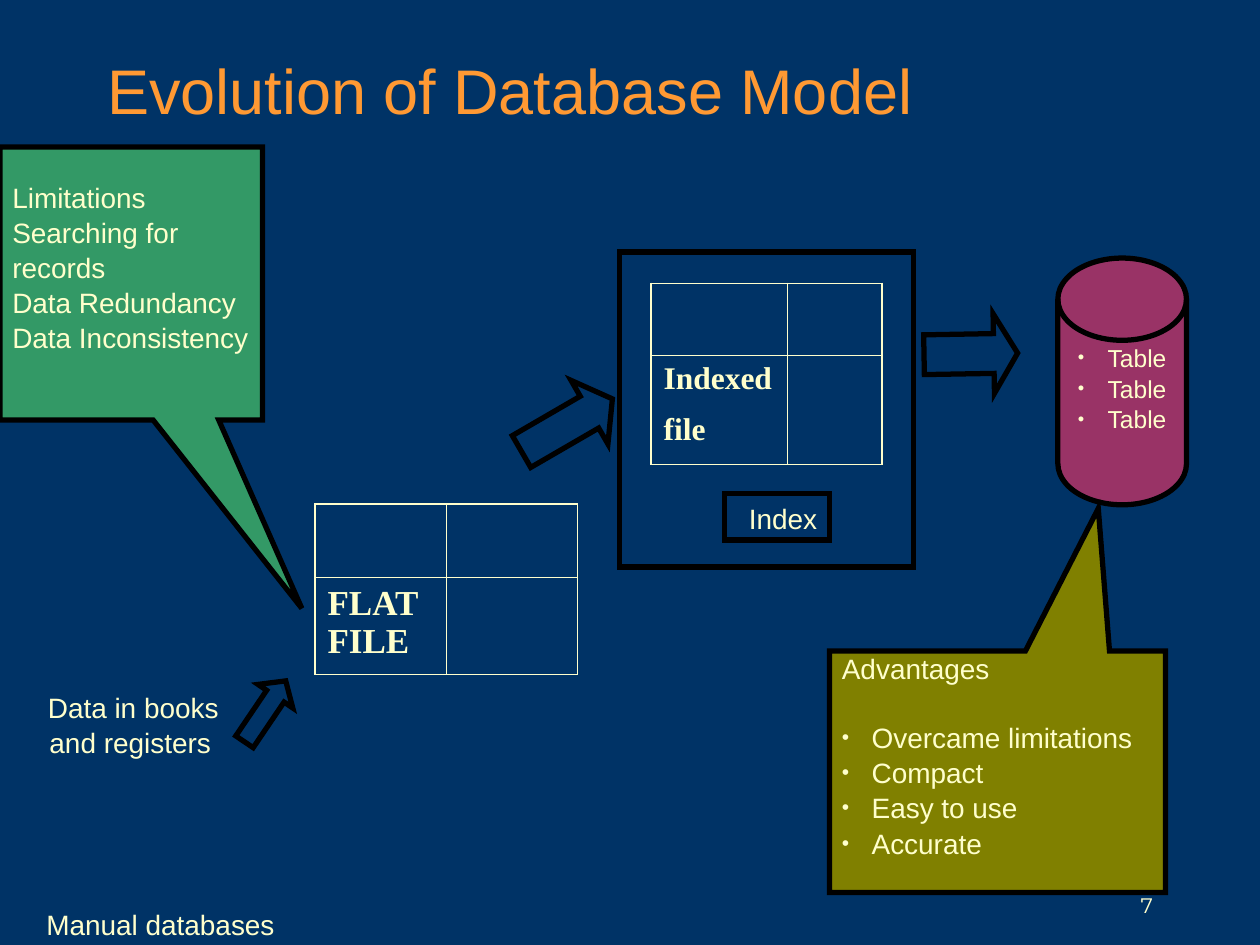
import pptx
import pptx.dml.color
import pptx.enum.shapes
import pptx.enum.text
import pptx.oxml.ns
import pptx.util
from lxml import etree

Pt = pptx.util.Pt
qn = pptx.oxml.ns.qn
Shape = pptx.enum.shapes.MSO_SHAPE
Align = pptx.enum.text.PP_ALIGN
Anchor = pptx.enum.text.MSO_ANCHOR

NAVY, CREAM, ORANGE, BLACK = "003366", "FFFFCC", "FF9933", "000000"
GREEN, PLUM, OLIVE = "339966", "993366", "808000"


def rgb(value):
    return pptx.dml.color.RGBColor.from_string(value)


class SlideBuilder:
    """Holds the style and the current slide; all lengths are points."""

    font = "Arial"
    size = 16
    line_spacing = 1.05
    line_width = 3
    outer_border, inner_border = 1.08, 0.45

    def __init__(self, presentation):
        self.slide = presentation.slides.add_slide(presentation.slide_layouts[5])
        self.slide.background.fill.solid()
        self.slide.background.fill.fore_color.rgb = rgb(NAVY)

    def format_runs(self, paragraph, size, font=None, color=CREAM, bold=False):
        for run in paragraph.runs:
            run.font.size = Pt(size)
            run.font.name = font or self.font
            run.font.color.rgb = rgb(color)
            run.font.bold = bold

    def title(self, text, left, top, width, height):
        shape = self.slide.shapes.title
        shape.left, shape.top, shape.width, shape.height = map(Pt, (left, top, width, height))
        frame = shape.text_frame
        frame.text = text
        frame.auto_size = pptx.enum.text.MSO_AUTO_SIZE.NONE
        frame.vertical_anchor = Anchor.MIDDLE
        frame.paragraphs[0].alignment = Align.LEFT
        self.format_runs(frame.paragraphs[0], 36, color=ORANGE)

    def bullet(self, paragraph):
        properties = paragraph._p.get_or_add_pPr()
        properties.set("marL", str(Pt(17)))
        properties.set("indent", str(-Pt(17)))
        color = etree.SubElement(properties, qn("a:buClr"))
        etree.SubElement(color, qn("a:srgbClr"), val=CREAM)
        etree.SubElement(properties, qn("a:buSzPct"), val="75000")
        etree.SubElement(properties, qn("a:buFont"), typeface=self.font)
        etree.SubElement(properties, qn("a:buChar"), char="•")

    def fill_text(self, shape, lines, size=None, font=None, align=Align.LEFT,
                  anchor=Anchor.TOP, wrap=True, bullets_from=None, bottom=3.6):
        """Fill a shape with paragraphs, bulleted from the given index on."""
        frame = shape.text_frame
        frame.text = "\n".join(lines)
        frame.word_wrap = wrap
        frame.vertical_anchor = anchor
        frame.margin_bottom = Pt(bottom)
        for index, paragraph in enumerate(frame.paragraphs):
            if bullets_from is not None and index >= bullets_from:
                self.bullet(paragraph)
            paragraph.alignment = align
            paragraph.line_spacing = self.line_spacing
            self.format_runs(paragraph, size or self.size, font)
        return frame

    def text(self, lines, left, top, width, height, **style):
        box = self.slide.shapes.add_textbox(*map(Pt, (left, top, width, height)))
        return self.fill_text(box, lines, **style)

    def shape(self, kind, left, top, width, height, fill=None, adjust=(), rotation=0):
        shape = self.slide.shapes.add_shape(kind, *map(Pt, (left, top, width, height)))
        shape.shadow.inherit = False
        shape.rotation = rotation
        for index, value in enumerate(adjust):
            shape.adjustments[index] = value
        if fill:
            shape.fill.solid()
            shape.fill.fore_color.rgb = rgb(fill)
        else:
            shape.fill.background()
        shape.line.color.rgb = rgb(BLACK)
        shape.line.width = Pt(self.line_width)
        outline = shape._element.spPr.find(qn("a:ln"))
        etree.SubElement(outline, qn("a:miter"), lim="800000")
        return shape

    def border(self, cell, index, side, width):
        line = etree.Element(qn(f"a:ln{side}"), w=str(Pt(width)))
        fill = etree.SubElement(line, qn("a:solidFill"))
        etree.SubElement(fill, qn("a:srgbClr"), val=CREAM)
        cell._tc.get_or_add_tcPr().insert(index, line)

    def grid(self, left, top, columns, rows, label, size):
        """Draw a file as a table labelled in its lower left cell."""
        frame = self.slide.shapes.add_table(
            len(rows), len(columns), *map(Pt, (left, top, sum(columns), sum(rows))))
        table = frame.table
        table.first_row = table.horz_banding = False
        for column, width in zip(table.columns, columns):
            column.width = Pt(width)
        for row, height in zip(table.rows, rows):
            row.height = Pt(height)
        last_row, last_column = len(rows) - 1, len(columns) - 1
        for r in range(len(rows)):
            for c in range(len(columns)):
                cell = table.cell(r, c)
                cell.fill.background()
                outer = {"L": c == 0, "R": c == last_column, "T": r == 0, "B": r == last_row}
                for index, (side, is_outer) in enumerate(outer.items()):
                    self.border(cell, index, side,
                                self.outer_border if is_outer else self.inner_border)
        cell = table.cell(last_row, 0)
        cell.text_frame.text = label
        paragraph = cell.text_frame.paragraphs[0]
        self.format_runs(paragraph, size, "Times New Roman", bold=True)
        return paragraph


def main():
    presentation = pptx.Presentation()
    presentation.slide_width, presentation.slide_height = Pt(720), Pt(540)
    builder = SlideBuilder(presentation)

    # Title and page number
    builder.title("Evolution of Database Model", 54, 6, 612, 90)
    builder.text(["7"], 516, 492, 150, 36, size=12, font="Montserrat",
                 align=Align.RIGHT, anchor=Anchor.BOTTOM)

    # Limitations of the flat file
    limitations = builder.shape(Shape.RECTANGULAR_CALLOUT, 0, 84, 150, 156,
                                GREEN, (0.65, 1.19))
    builder.fill_text(limitations, ["Limitations", "Searching for records",
                                    "Data Redundancy", "Data Inconsistency"],
                      anchor=Anchor.MIDDLE, bottom=23)

    # Flat file
    builder.grid(180, 288, (75, 75), (42, 55.5), "FLAT FILE", 20)
    builder.shape(Shape.UP_ARROW, 139.5, 385.5, 24, 42, adjust=(0.5, 0.44), rotation=34.1)

    # Indexed file with its index; the larger space makes its last line taller
    label = builder.grid(372, 162, (78, 54), (41, 62.5), "Indexed file", 18)
    spacer = label.add_run()
    spacer.text = " "
    spacer.font.size = Pt(28)
    spacer.font.name = "Times New Roman"
    builder.shape(Shape.RIGHT_ARROW, 294, 222, 60, 42, adjust=(0.5, 0.36), rotation=329.9)
    index_box = builder.shape(Shape.RECTANGLE, 414, 282, 60, 26.6)
    builder.fill_text(index_box, ["Index"], align=Align.RIGHT)

    # Database
    database = builder.shape(Shape.FLOWCHART_MAGNETIC_DISK, 604.5, 147.5, 73.5, 141, PLUM)
    builder.fill_text(database, ["Table"] * 3, size=14, align=Align.CENTER,
                      anchor=Anchor.MIDDLE, bullets_from=0, bottom=20)
    builder.shape(Shape.UP_ARROW, 532, 175.5, 45.5, 53.5, adjust=(0.5, 0.3), rotation=89)

    # Advantages of the database
    advantages = builder.shape(Shape.RECTANGULAR_CALLOUT, 474, 372, 192, 138,
                               OLIVE, (0.3, -1.09))
    frame = builder.fill_text(advantages, ["Advantages", "Overcame limitations", "Compact",
                                           "Easy to use", "Accurate"],
                              anchor=Anchor.MIDDLE, bullets_from=1, bottom=23)
    frame.paragraphs[0].space_after = Pt(19.3)

    # Manual databases
    builder.text(["Data in books and registers "], 0, 390, 132, 46, align=Align.RIGHT)
    builder.text(["Manual databases "], 16, 514, 148, 26.6, align=Align.RIGHT, wrap=False)

    # Frame around the indexed file
    builder.shape(Shape.RECTANGLE, 354, 144, 168, 180)

    presentation.save("out.pptx")


if __name__ == "__main__":
    main()
